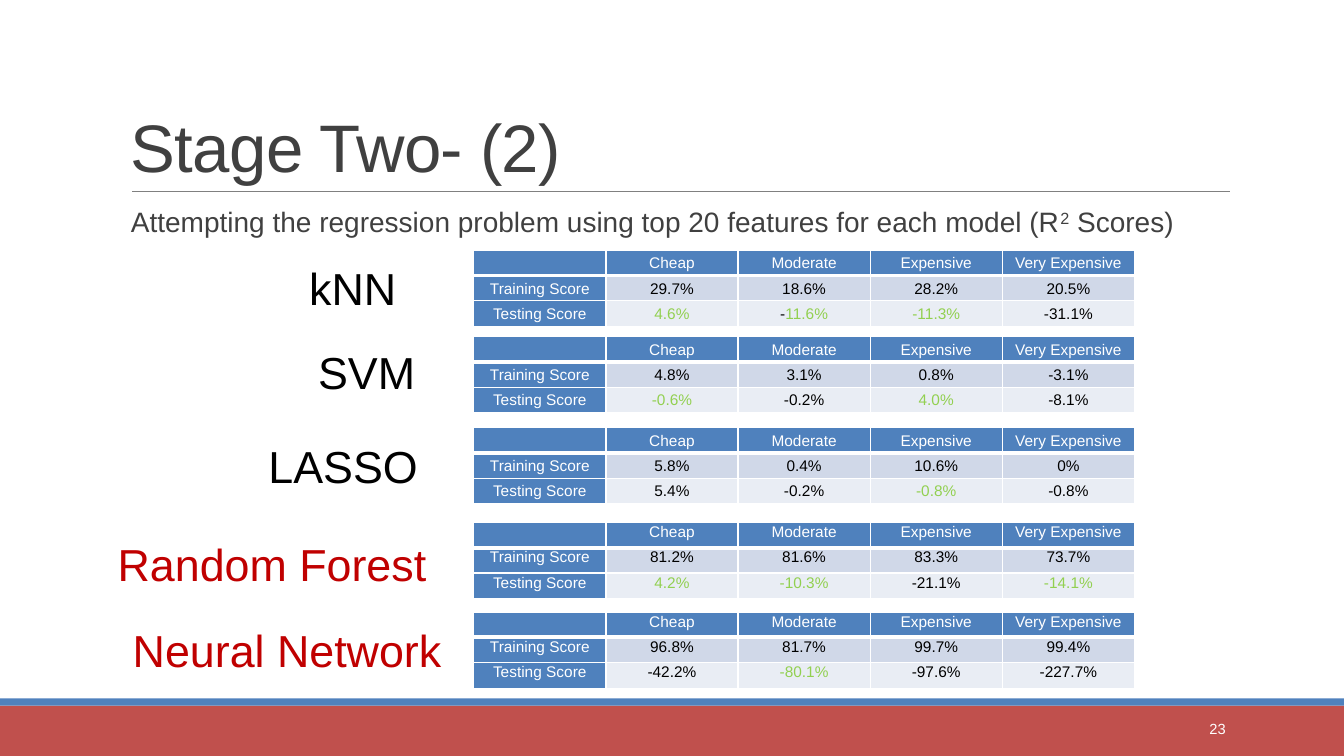
from lxml.etree import SubElement
from pptx import Presentation
from pptx.dml.color import RGBColor
from pptx.enum.shapes import MSO_CONNECTOR, MSO_SHAPE
from pptx.enum.text import MSO_ANCHOR as Anchor, PP_ALIGN as Align
from pptx.oxml.ns import qn
from pptx.util import Cm, Pt

WHITE = RGBColor(0xFF, 0xFF, 0xFF)
BLACK = RGBColor(0x00, 0x00, 0x00)
DARK_GRAY = RGBColor(0x40, 0x40, 0x40)
RULE_GRAY = RGBColor(0x80, 0x80, 0x80)
BLUE = RGBColor(0x4F, 0x81, 0xBD)
RED_BAND = RGBColor(0xC0, 0x50, 0x4D)
RED_TEXT = RGBColor(0xC0, 0x00, 0x00)
GREEN = RGBColor(0x92, 0xD0, 0x50)
ROW_FILLS = (BLUE, RGBColor(0xD0, 0xD8, 0xE8), RGBColor(0xE9, 0xED, 0xF4))

SLIDE_WIDTH, SLIDE_HEIGHT = 33.87, 19.05
TABLE_LEFT, COLUMN_WIDTH, ROW_HEIGHT = 11.94, 3.33, 0.64
LABEL_HEIGHT = 1.63
PRICE_CLASSES = ("Cheap", "Moderate", "Expensive", "Very Expensive")


def black(text):
    """Return the runs of a plain score."""
    return [(text, BLACK)]


def green(text):
    """Return the runs of a highlighted score."""
    return [(text, GREEN)]


MODELS = (
    ("kNN", BLACK, (7.24, 6.45, 3.3), 6.3, Anchor.MIDDLE,
     ("29.7%", "18.6%", "28.2%", "20.5%"),
     (green("4.6%"), black("-") + green("11.6%"), green("-11.3%"), black("-31.1%"))),
    ("SVM", BLACK, (7.59, 8.56, 3.3), 8.48, Anchor.MIDDLE,
     ("4.8%", "3.1%", "0.8%", "-3.1%"),
     (green("-0.6%"), black("-0.2%"), green("4.0%"), black("-8.1%"))),
    ("LASSO", BLACK, (6.2, 10.92, 4.9), 10.77, Anchor.MIDDLE,
     ("5.8%", "0.4%", "10.6%", "0%"),
     (black("5.4%"), black("-0.2%"), green("-0.8%"), black("-0.8%"))),
    ("Random Forest", RED_TEXT, (1.78, 13.39, 10.16), 13.16, Anchor.TOP,
     ("81.2%", "81.6%", "83.3%", "73.7%"),
     (green("4.2%"), green("-10.3%"), black("-21.1%"), green("-14.1%"))),
    ("Neural Network", RED_TEXT, (2.67, 15.57, 9.14), 15.42, Anchor.TOP,
     ("96.8%", "81.7%", "99.7%", "99.4%"),
     (black("-42.2%"), green("-80.1%"), black("-97.6%"), black("-227.7%"))),
)


def add_run(paragraph, text, size, color):
    """Append one Arial run and return it."""
    run = paragraph.add_run()
    run.text = text
    run.font.name = "Arial"
    run.font.size = Pt(size)
    run.font.bold = False
    run.font.color.rgb = color
    return run


def add_text_box(slide, box, align=Align.LEFT, anchor=Anchor.TOP):
    """Add a wrapping text box and return its first paragraph."""
    frame = slide.shapes.add_textbox(*map(Cm, box)).text_frame
    frame.word_wrap = True
    frame.vertical_anchor = anchor
    paragraph = frame.paragraphs[0]
    paragraph.alignment = align
    return paragraph


def add_band(slide, box, color):
    """Add a plain full-colour rectangle."""
    band = slide.shapes.add_shape(MSO_SHAPE.RECTANGLE, *map(Cm, box))
    band.shadow.inherit = False
    band.fill.solid()
    band.fill.fore_color.rgb = color
    band.line.fill.background()


def add_footer(slide, top, height):
    """Add the red band, its blue edge and the page number."""
    edge = 0.18
    add_band(slide, (0, top, SLIDE_WIDTH, height), RED_BAND)
    add_band(slide, (0, top - edge, SLIDE_WIDTH, edge), BLUE)
    number = add_text_box(slide, (27.51, top + 0.08, 3.63, 1.02), Align.RIGHT, Anchor.MIDDLE)
    add_run(number, "23", 10.5, WHITE)


def add_heading(slide, left, top, width, height):
    """Add the title, the rule below it and the subtitle."""
    bottom = top + height
    title = add_text_box(slide, (left, top, width, height), anchor=Anchor.BOTTOM)
    title.line_spacing = 0.85
    run = add_run(title, "Stage Two- (2)", 48, DARK_GRAY)
    run.font._element.set("spc", "-50")

    rule = slide.shapes.add_connector(
        MSO_CONNECTOR.STRAIGHT, Cm(left + 0.28), Cm(bottom), Cm(left + width), Cm(bottom))
    rule.line.color.rgb = RULE_GRAY
    rule.line.width = Pt(0.5)
    SubElement(rule._element.spPr, qn("a:effectLst"))

    subtitle = add_text_box(slide, (left, bottom + 0.3, width, 1))
    subtitle.line_spacing = 0.9
    add_run(subtitle, "Attempting the regression problem using top 20 features for each model (R",
            20, DARK_GRAY)
    exponent = add_run(subtitle, "2", 20, DARK_GRAY)
    exponent.font._element.set("baseline", "30000")
    add_run(subtitle, " Scores)", 20, DARK_GRAY)


def set_borders(cell, bottom_width):
    """Draw white borders round a cell, ahead of its fill."""
    properties = cell._tc.get_or_add_tcPr()
    widths = {"a:lnL": 1, "a:lnR": 1, "a:lnT": 1, "a:lnB": bottom_width}
    for tag, width in widths.items():
        line = SubElement(properties, qn(tag), w=str(Pt(width)))
        SubElement(SubElement(line, qn("a:solidFill")), qn("a:srgbClr"), val=str(WHITE))


def fill_cell(cell, runs, color, anchor, bottom_width):
    """Write the runs into a cell and style it."""
    set_borders(cell, bottom_width)
    cell.fill.solid()
    cell.fill.fore_color.rgb = color
    cell.margin_left = cell.margin_right = Cm(0.18)
    cell.margin_top = cell.margin_bottom = 0
    cell.vertical_anchor = anchor
    paragraph = cell.text_frame.paragraphs[0]
    paragraph.alignment = Align.CENTER
    paragraph.line_spacing = 1.07
    for text, text_color in runs:
        add_run(paragraph, text, 11, text_color)
    if not runs:
        SubElement(paragraph._p, qn("a:endParaRPr"), sz="1100")


def add_score_table(slide, left, top, anchor, training, testing):
    """Add one model's table of training and testing scores."""
    rows = (
        [[]] + [[(name, WHITE)] for name in PRICE_CLASSES],
        [[("Training Score", WHITE)]] + [black(score) for score in training],
        [[("Testing Score", WHITE)], *testing],
    )
    column_count = len(rows[0])
    table = slide.shapes.add_table(
        len(rows), column_count, Cm(left), Cm(top),
        Cm(COLUMN_WIDTH * column_count), Cm(ROW_HEIGHT * len(rows))).table
    for column in table.columns:
        column.width = Cm(COLUMN_WIDTH)
    for row_index, row in enumerate(rows):
        table.rows[row_index].height = Cm(ROW_HEIGHT)
        for column_index, runs in enumerate(row):
            color = ROW_FILLS[row_index] if column_index else BLUE
            fill_cell(table.cell(row_index, column_index), runs, color, anchor,
                      1 if row_index else 3)


def add_model(slide, name, color, label_box, table_top, anchor, training, testing):
    """Add a model's name and its score table."""
    label = add_text_box(slide, (*label_box, LABEL_HEIGHT), Align.CENTER)
    add_run(label, name, 32, color)
    add_score_table(slide, TABLE_LEFT, table_top, anchor, training, testing)


def main():
    """Build and save the slide."""
    presentation = Presentation()
    presentation.slide_width = Cm(SLIDE_WIDTH)
    presentation.slide_height = Cm(SLIDE_HEIGHT)
    slide = presentation.slides.add_slide(presentation.slide_layouts[6])
    add_footer(slide, 17.78, 1.27)
    add_heading(slide, 3.05, 0.79, 27.94, 4.04)
    for model in MODELS:
        add_model(slide, *model)
    presentation.save("out.pptx")


if __name__ == "__main__":
    main()
